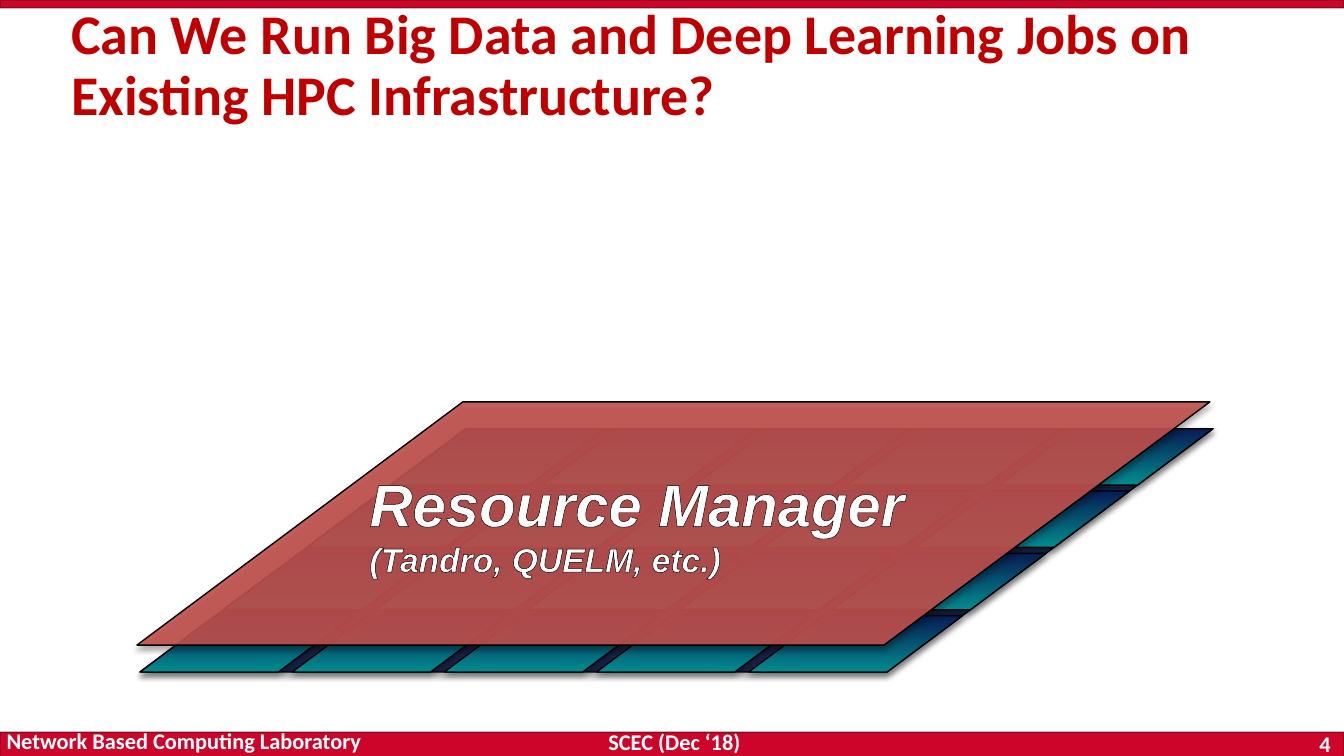
from lxml import etree
from pptx import Presentation
from pptx.dml.color import RGBColor
from pptx.enum.shapes import MSO_SHAPE
from pptx.enum.text import MSO_ANCHOR as ANCHOR, MSO_AUTO_SIZE as AUTO, PP_ALIGN as ALIGN
from pptx.oxml import parse_xml
from pptx.oxml.ns import qn
from pptx.util import Pt

NS = 'xmlns:a="http://schemas.openxmlformats.org/drawingml/2006/main"'
SHADOW = (f'<a:effectLst {NS}><a:outerShdw blurRad="38100" dist="22860" dir="5400000" '
          'rotWithShape="0"><a:srgbClr val="000000"><a:alpha val="35000"/></a:srgbClr>'
          '</a:outerShdw></a:effectLst>')
OUTLINE = (f'<a:ln {NS} w="9525"><a:solidFill><a:srgbClr val="000000"/>'
           '</a:solidFill></a:ln>')
WIDTH, HEIGHT = 720, 405


def rgb(value):
    """Turn a hex string into a colour."""
    return RGBColor.from_string(value)


def set_alpha(element, percent):
    """Give every colour below an element the same opacity."""
    for clr in element.iter(qn("a:srgbClr")):
        etree.SubElement(clr, qn("a:alpha")).set("val", str(percent * 1000))


def style_run(r, size, color, font):
    """Set a bold run's font."""
    r.font.size, r.font.name, r.font.bold = Pt(size), font, True
    r.font.color.rgb = rgb(color)


def add_bar(s, x, y, w, h):
    """Add a red band with a faint outline."""
    bar = s.shapes.add_shape(MSO_SHAPE.RECTANGLE, Pt(x), Pt(y), Pt(w), Pt(h))
    bar.shadow.inherit = False
    bar.fill.solid()
    bar.fill.fore_color.rgb = rgb("CD052B")
    bar.line.color.rgb = rgb("000000")
    bar.line.width = Pt(1)
    set_alpha(bar.line._ln, 25)


def add_label(s, text, x, y, w, h, align, anchor):
    """Add one white footer text."""
    tf = s.shapes.add_textbox(Pt(x), Pt(y), Pt(w), Pt(h)).text_frame
    tf.word_wrap, tf.vertical_anchor = True, anchor
    tf.text = text
    p = tf.paragraphs[0]
    p.alignment = align
    style_run(p.runs[0], 12, "FFFFFF", "Calibri")


def add_frame(s, w, h):
    """Add the top band, the footer band and the footer texts."""
    add_bar(s, 0, h - 12.8, w, 13.7)
    add_bar(s, 0, 0, w, 4.3)
    add_label(s, " SCEC (Dec ‘18)", 0, h - 13.3, w, 10.8, ALIGN.CENTER, ANCHOR.MIDDLE)
    add_label(s, "4", w - 47.5, h - 13.3, 47.5, 13, ALIGN.RIGHT, ANCHOR.MIDDLE)
    add_label(s, "Network Based Computing Laboratory", -3.6, h - 11.2, 217.4, 13.7,
              ALIGN.LEFT, ANCHOR.BOTTOM)


def add_title(s, text, x, y, w, h):
    """Place and format the title placeholder."""
    title = s.shapes.title
    title.left, title.top, title.width, title.height = Pt(x), Pt(y), Pt(w), Pt(h)
    tf = title.text_frame
    tf.text = text
    tf.word_wrap, tf.auto_size, tf.vertical_anchor = True, AUTO.NONE, ANCHOR.MIDDLE
    tf.margin_left = tf.margin_right = Pt(5)
    tf.margin_top = tf.margin_bottom = Pt(2.9)
    p = tf.paragraphs[0]
    p.alignment, p.line_spacing = ALIGN.LEFT, 0.9
    style_run(p.runs[0], 30, "C00000", "Calibri")


def add_slab(group, x, y, w, h, slant, *colors):
    """Add a slanted slab; two colours make a top-to-bottom gradient."""
    corners = [(x, y + h), (x + slant, y), (x + w, y), (x + w - slant, y + h)]
    points = [(Pt(px), Pt(py)) for px, py in corners]
    builder = group.shapes.build_freeform(*points[0], scale=1.0)
    builder.add_line_segments(points[1:], close=True)
    slab = builder.convert_to_shape()
    if len(colors) == 2:
        slab.fill.gradient()
        slab.fill.gradient_angle = 270
        for stop, color, place in zip(slab.fill.gradient_stops, colors, (0, 1)):
            stop.color.rgb, stop.position = rgb(color), place
    else:
        slab.fill.solid()
        slab.fill.fore_color.rgb = rgb(colors[0])
    spPr = slab._element.spPr
    set_alpha(spPr, 90)
    slab.line.color.rgb = rgb("000000")
    slab.line.width = Pt(0.75)
    spPr.append(parse_xml(SHADOW))


def add_cluster(s, x, y, w, h, cols=5, rows=4):
    """Add the dark base with its slanted grid of nodes."""
    group = s.shapes.add_group_shape()
    slant, tile_w, tile_h = 174.6, 114.6, 30.2
    slope = slant / h
    add_slab(group, x, y, w, h, slant, "061642")
    tile_slant = tile_h * slope
    col_step = (w - slant - tile_w + tile_slant) / (cols - 1)
    row_step = (h - tile_h) / (rows - 1)
    for row in range(rows):
        top = row * row_step
        left = x + slant - tile_slant - top * slope
        for col in range(cols):
            add_slab(group, left + col * col_step, y + top, tile_w, tile_h,
                     tile_slant, "081D58", "009999")


def add_manager(s, x, y, w, h):
    """Add the red layer with its outlined caption."""
    group = s.shapes.add_group_shape()
    add_slab(group, x, y, w, h, 174.6, "C0504D")
    box = group.shapes.add_textbox(Pt(x + 121), Pt(y + 31), Pt(333.4), Pt(67.7))
    tf = box.text_frame
    tf.word_wrap, tf.auto_size = True, AUTO.SHAPE_TO_FIT_TEXT
    tf.vertical_anchor = ANCHOR.MIDDLE
    tf.margin_left = tf.margin_right = tf.margin_top = tf.margin_bottom = Pt(3.6)
    p = tf.paragraphs[0]
    for text, size in (("Resource Manager ", 32), ("(Tandro, QUELM, etc.)", 18)):
        r = p.add_run()
        r.text = text
        style_run(r, size, "FFFFFF", "Arial")
        r.font.italic = True
        r.font._element.insert(0, parse_xml(OUTLINE))


prs = Presentation()
prs.slide_width, prs.slide_height = Pt(WIDTH), Pt(HEIGHT)
s = prs.slides.add_slide(prs.slide_layouts[5])
add_frame(s, WIDTH, HEIGHT)
add_cluster(s, 75, 229.7, 574.8, 130.3)
add_manager(s, 73.4, 215.3, 574.8, 130.3)
add_title(s, "Can We Run Big Data and Deep Learning Jobs on Existing HPC Infrastructure?",
          33.1, 13, 681.8, 45.4)
prs.save("out.pptx")
